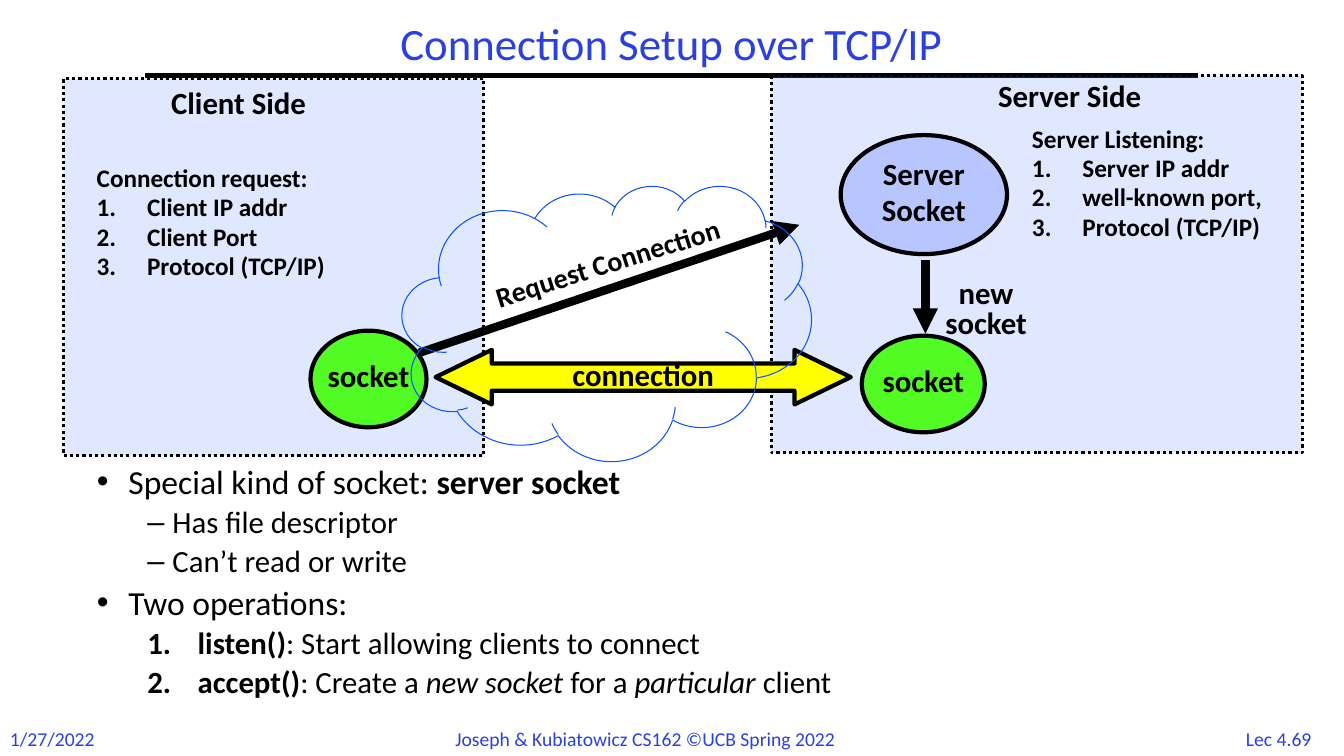
from dataclasses import dataclass

from lxml.etree import SubElement
from pptx import Presentation
from pptx.dml.color import RGBColor
from pptx.enum.dml import MSO_LINE
from pptx.enum.shapes import MSO_CONNECTOR, MSO_SHAPE
from pptx.enum.text import MSO_ANCHOR, MSO_AUTO_SIZE, PP_ALIGN
from pptx.oxml.ns import qn
from pptx.util import Pt


@dataclass(frozen=True)
class Theme:
    """Colours, font and type sizes of the slide."""
    font: str = "Calibri"
    black: str = "000000"
    accent: str = "2A40E2"
    panel: str = "618FFD"
    socket: str = "53FB25"
    listener: str = "B7C6FE"
    channel: str = "FFFF00"
    cloud: str = "0B52FC"
    title: int = 32
    body: int = 24
    label: int = 22
    slanted: int = 20
    details: int = 18
    footer: int = 14


T = Theme()
BOLD, ITALIC = {"bold": True}, {"italic": True}
NUMBER = ("buAutoNum", {"type": "arabicPeriod"})
DOT, DASH = [("buChar", {"char": c}) for c in "•–"]


def apply(obj, fmt):
    """Set every attribute in fmt on obj."""
    for name, value in fmt.items():
        setattr(obj, name, value)


def place(sp, box, dx, dy, w, h):
    """Move a shape to an offset within a box."""
    apply(sp, {"left": Pt(box[0] + dx), "top": Pt(box[1] + dy),
               "width": Pt(w), "height": Pt(h)})


def set_bullet(p, bullet, margin, hang):
    """Give a paragraph a bullet or number with a hanging indent."""
    pPr = p._p.get_or_add_pPr()
    pPr.set("marL", str(Pt(margin)))
    pPr.set("indent", str(-Pt(hang)))
    tag, attrs = bullet
    if tag == "buChar":
        SubElement(pPr, qn("a:buFont"), typeface="Arial")
    SubElement(pPr, qn("a:" + tag), **attrs)


def add_para(tf, runs, size, color=T.black, bullet=None, **fmt):
    """Write the next paragraph from (text, format) runs."""
    first = not tf.paragraphs[0].runs
    p = tf.paragraphs[0] if first else tf.add_paragraph()
    if bullet:
        set_bullet(p, *bullet)
    apply(p, {**fmt, **({"space_before": Pt(0)} if first else {})})
    for text, style in runs:
        r = p.add_run()
        r.text = text
        apply(r.font, {"name": T.font, "size": Pt(size), "bold": False, **style})
        r.font.color.rgb = RGBColor.from_string(color)


def write_label(tf, lines, size=T.label, gap=0.2):
    """Write centred bold lines."""
    for line in lines:
        add_para(tf, [(line, BOLD)], size, alignment=PP_ALIGN.CENTER,
                 line_spacing=0.8, space_before=Pt(size * gap))


def add_text(s, box, *at):
    """Add a wrapping text box and return it."""
    sp = s.shapes.add_textbox(0, 0, 0, 0)
    place(sp, box, *at)
    sp.text_frame.word_wrap = True
    return sp


def add_preset(s, kind, box, at, fill=None, line=T.black, width=3, lines=()):
    """Add an outlined preset shape with an optional centred label."""
    sp = s.shapes.add_shape(kind, 0, 0, 0, 0)
    place(sp, box, *at)
    sp.shadow.inherit = False
    if fill:
        sp.fill.solid()
        sp.fill.fore_color.rgb = RGBColor.from_string(fill)
    else:
        sp.fill.background()
    sp.line.color.rgb = RGBColor.from_string(line)
    sp.line.width = Pt(width)
    apply(sp.text_frame, {"word_wrap": False, "vertical_anchor": MSO_ANCHOR.MIDDLE})
    write_label(sp.text_frame, lines)
    return sp


def add_line(s, box, x1, y1, x2, y2, width, arrow=False):
    """Add a straight black line, optionally with an arrowhead."""
    x, y = box[:2]
    cxn = s.shapes.add_connector(MSO_CONNECTOR.STRAIGHT, Pt(x + x1), Pt(y + y1),
                                 Pt(x + x2), Pt(y + y2))
    cxn.line.color.rgb = RGBColor.from_string(T.black)
    cxn.line.width = Pt(width)
    if arrow:
        SubElement(cxn.line._get_or_add_ln(), qn("a:tailEnd"), type="triangle")
    SubElement(cxn._element.spPr, qn("a:effectLst"))


def add_panel(s, box, heading, heading_at, details, details_at):
    """Draw a dotted translucent panel with a heading and numbered details."""
    sp = add_preset(s, MSO_SHAPE.RECTANGLE, box, (0, 0, *box[2:]), T.panel, width=2.25)
    sp.line.dash_style = MSO_LINE.ROUND_DOT
    clr = sp._element.spPr.find(qn("a:solidFill"))[0]
    SubElement(clr, qn("a:alpha"), val="20000")
    write_label(add_text(s, box, *heading_at).text_frame, [heading])
    tf = add_text(s, box, *details_at, 200, 90).text_frame
    for i, line in enumerate(details):
        add_para(tf, [(line, BOLD)], T.details, bullet=(NUMBER, 36, 36) if i else None,
                 line_spacing=0.8, space_before=Pt(T.details * 0.2))


def add_client(s, box):
    """Draw the client side."""
    add_panel(s, box, "Client Side", (60, 5, 130, 28),
              ["Connection request:", "Client IP addr", "Client Port",
               "Protocol (TCP/IP)"], (16.6, 60.5))
    add_preset(s, MSO_SHAPE.OVAL, box, (176.4, 180, 82.8, 69), T.socket, lines=["socket"])


def add_server(s, box):
    """Draw the server side."""
    add_panel(s, box, "Server Side", (144.7, 2.2, 137, 28),
              ["Server Listening:", "Server IP addr", "well-known port,",
               "Protocol (TCP/IP)"], (179.3, 34.6))
    add_preset(s, MSO_SHAPE.OVAL, box, (49.7, 42.5, 118.8, 85), T.listener,
               lines=["Server", "Socket"])
    add_line(s, box, 110.2, 131.8, 110.2, 184.3, 6, arrow=True)
    write_label(add_text(s, box, 111, 143.3, 85, 50).text_frame, ["new", "socket"], gap=0)
    add_preset(s, MSO_SHAPE.OVAL, box, (64.8, 185.8, 87.8, 69), T.socket, lines=["socket"])


def add_network(s, box):
    """Draw the request, the connection and the cloud they cross."""
    sp = add_preset(s, MSO_SHAPE.LEFT_RIGHT_ARROW, box, (23.8, 117.4, 296.6, 39),
                    T.channel, lines=["connection"])
    sp.adjustments[0], sp.adjustments[1] = 0.5, 1.03
    sp = add_text(s, box, 41.8, 43.9, 211, 26.6)
    sp.rotation = -17.5
    write_label(sp.text_frame, ["Request Connection"], T.slanted)
    add_line(s, box, 12.2, 119.5, 283.7, 28.1, 6, arrow=True)
    add_preset(s, MSO_SHAPE.CLOUD, box, (0, 0, *box[2:]), line=T.cloud, width=0.75)


def add_frame(s, box):
    """Place the title, its rule and the footer."""
    sp = s.shapes.title
    place(sp, box, 103.7, 12.2, 751.7, 41.8)
    apply(sp.text_frame, {"auto_size": MSO_AUTO_SIZE.NONE,
                          "vertical_anchor": MSO_ANCHOR.MIDDLE})
    add_para(sp.text_frame, [("Connection Setup over TCP/IP", {})], T.title, T.accent,
             alignment=PP_ALIGN.CENTER, line_spacing=0.9)
    add_line(s, box, 103.7, 54, 856, 54, 3)
    for text, x, w, align in (
            ("1/27/2022", 0, 77, PP_ALIGN.LEFT),
            ("Joseph & Kubiatowicz CS162 ©UCB Spring 2022", 318.2, 324, PP_ALIGN.LEFT),
            ("Lec 4.69", 878.4, 70, PP_ALIGN.CENTER)):
        add_para(add_text(s, box, x, 515.5, w, 24).text_frame, [(text, {})],
                 T.footer, T.accent, alignment=align)


def add_points(s, box):
    """Fill the body placeholder with the list."""
    sp = s.placeholders[1]
    place(sp, box, 0, 0, *box[2:])
    tf = sp.text_frame
    tf.auto_size = MSO_AUTO_SIZE.NONE
    top, dash, step = (DOT, 22.5, 22.5), (DASH, 54, 18), (NUMBER, 72, 36)
    for bullet, runs in (
            (top, [("Special kind of socket: ", {}), ("server socket", BOLD)]),
            (dash, [("Has file descriptor", {})]),
            (dash, [("Can’t read or write", {})]),
            (top, [("Two operations:", {})]),
            (step, [("listen()", BOLD), (": Start allowing clients to connect", {})]),
            (step, [("accept()", BOLD), (": Create a ", {}), ("new socket", ITALIC),
                    (" for a ", {}), ("particular ", ITALIC), ("client", {})])):
        size = T.body if bullet is top else T.label
        add_para(tf, runs, size, bullet=bullet, level=int(bullet is not top),
                 line_spacing=0.85, space_before=Pt(size * 0.25))


def main():
    """Build and save the slide."""
    prs = Presentation()
    apply(prs, {"slide_width": Pt(960), "slide_height": Pt(540)})
    s = prs.slides.add_slide(prs.slide_layouts[1])
    add_frame(s, (0, 0, 960, 540))
    add_points(s, (62, 329.8, 828, 213.8))
    add_client(s, (45.4, 56.2, 300.2, 269.3))
    add_server(s, (550.8, 54, 379.4, 269.3))
    add_network(s, (287.3, 132.5, 292.3, 196.6))
    prs.save("out.pptx")


if __name__ == "__main__":
    main()
